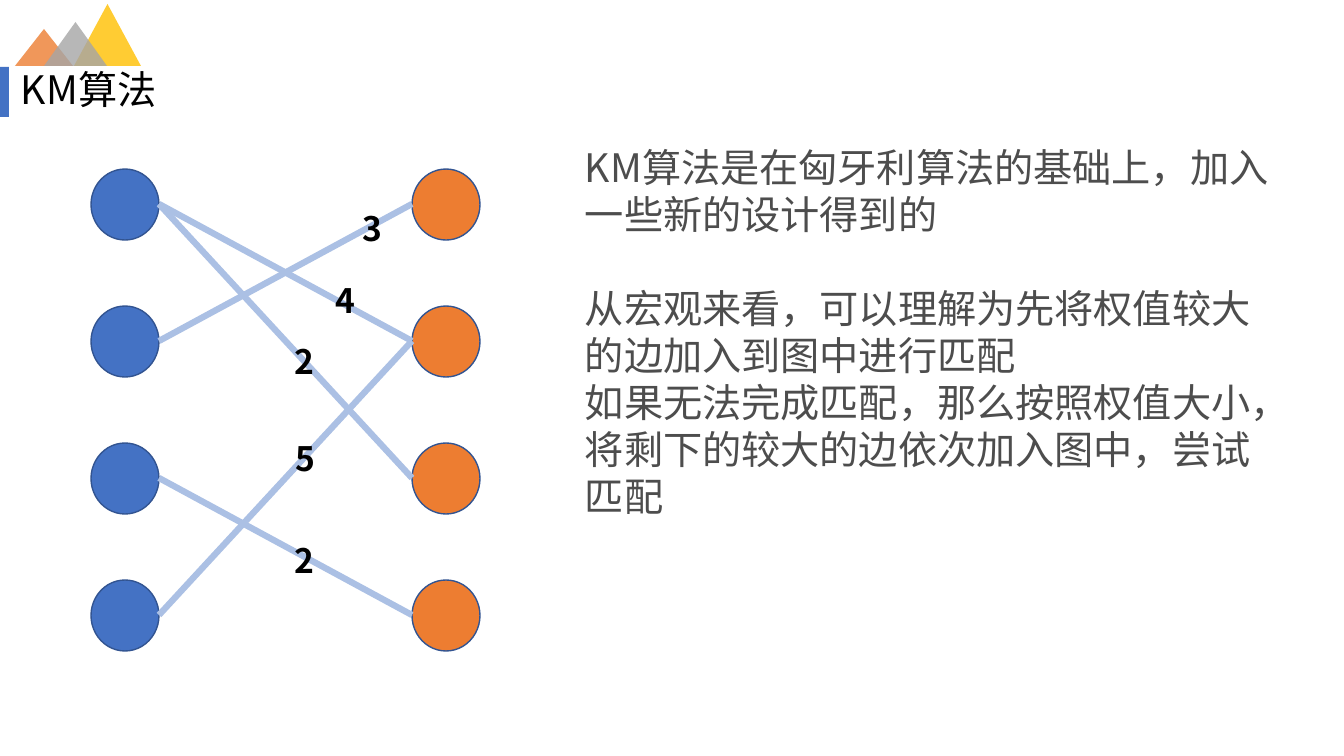
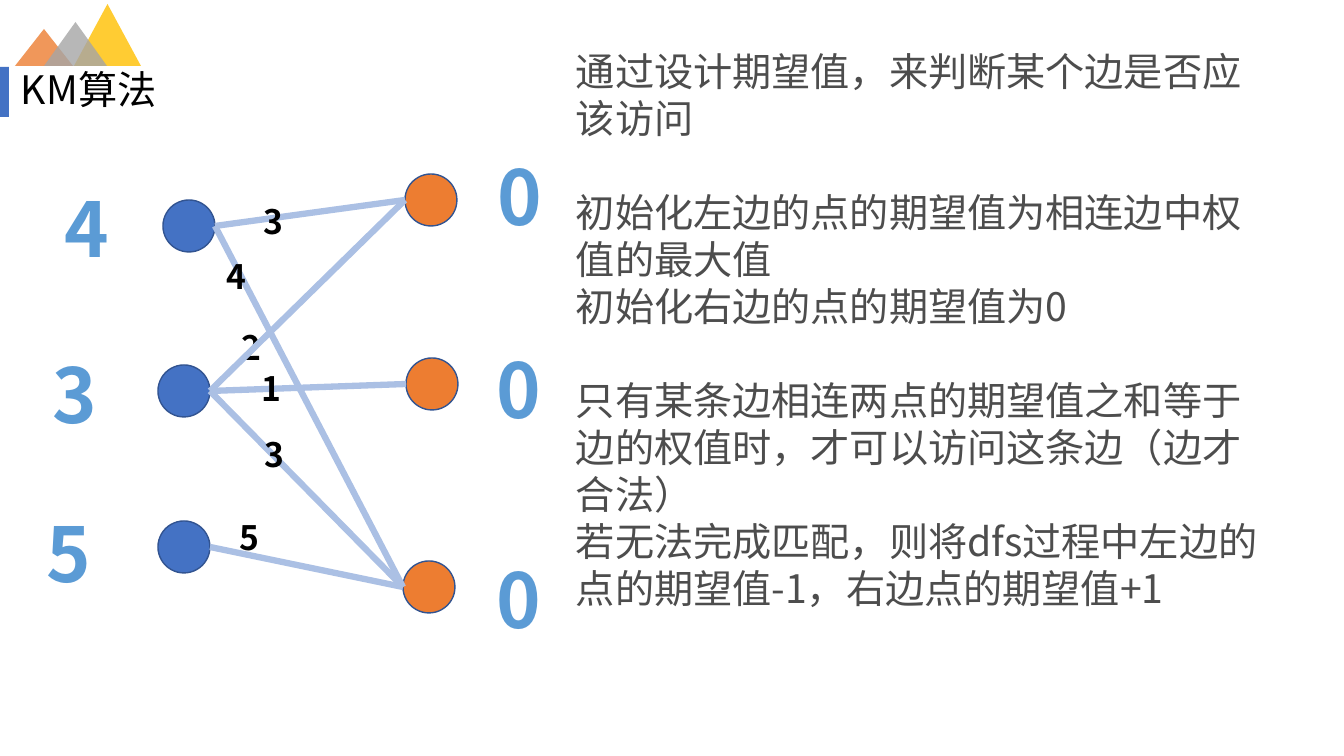
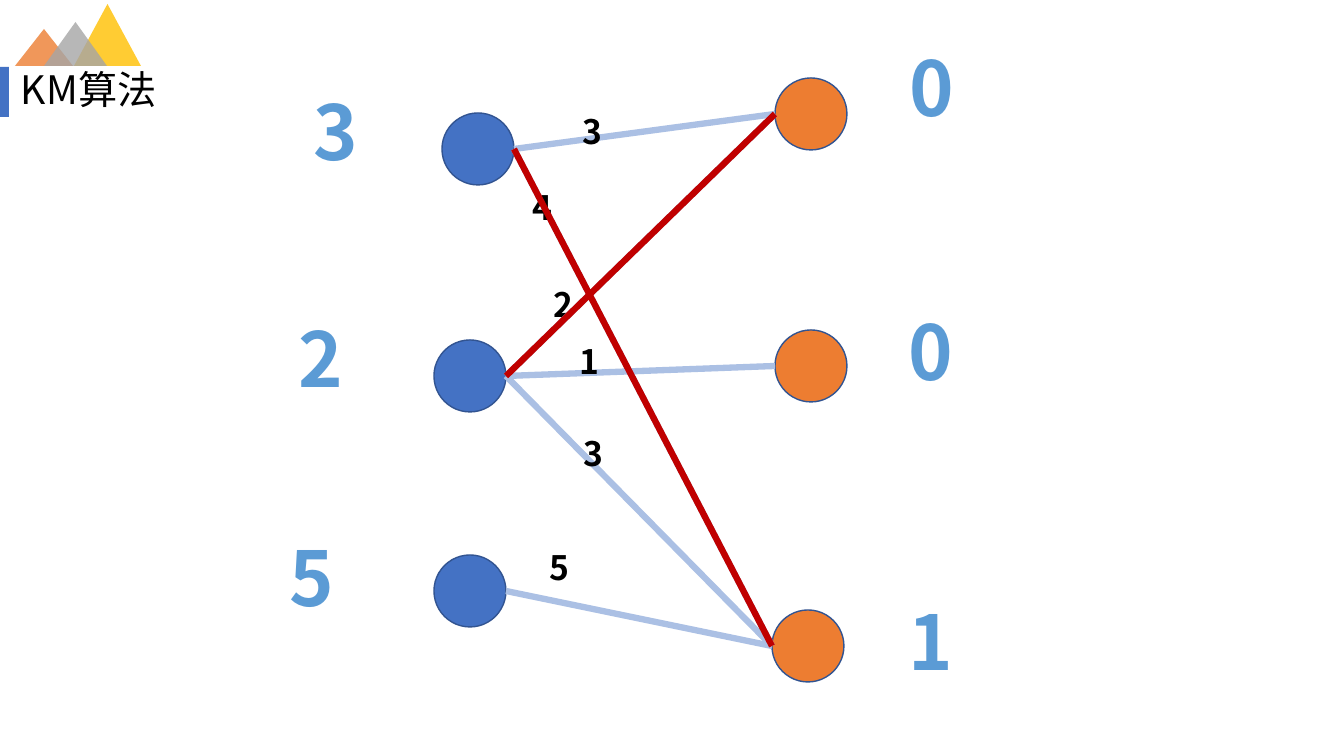
from lxml.etree import SubElement
from pptx import Presentation
from pptx.dml.color import RGBColor
from pptx.enum.shapes import MSO_CONNECTOR, MSO_SHAPE
from pptx.enum.text import MSO_ANCHOR, MSO_AUTO_SIZE, PP_ALIGN
from pptx.oxml.ns import qn
from pptx.util import Emu, Pt

EMU_PER_PX = 914400 / 100.8
FONT = "Noto Sans CJK SC"
LINE_RATIO = 1.2

BLACK = RGBColor(0x00, 0x00, 0x00)
GRAPHITE = RGBColor(0x4D, 0x4D, 0x4D)
BLUE = RGBColor(0x44, 0x72, 0xC4)
DARK_BLUE = RGBColor(0x32, 0x54, 0x91)
SKY_BLUE = RGBColor(0x5B, 0x9B, 0xD5)
PALE_BLUE = RGBColor(0xAB, 0xC0, 0xE4)
ORANGE = RGBColor(0xED, 0x7D, 0x31)
YELLOW = RGBColor(0xFF, 0xC0, 0x00)
GRAY = RGBColor(0xA5, 0xA5, 0xA5)
RED = RGBColor(0xC0, 0x00, 0x00)

TITLE_FORMAT = {"size": Pt(28), "bold": False}
BODY_FORMAT = {"size": Pt(28), "bold": False}
WEIGHT_FORMAT = {"size": Pt(24), "bold": True}
EXPECTATION_FORMAT = {"size": Pt(54), "bold": True}

PEAKS = [
    (YELLOW, (74, 4, 67, 62)),
    (ORANGE, (15, 29, 58, 37)),
    (GRAY, (44, 22, 63, 44)),
]
TITLE_BAR = (0, 67, 9, 50)
TITLE_BOX = (11, 57, 549, 57)


def px(length):
    return Emu(round(length * EMU_PER_PX))


def set_all(target, values):
    for name, value in values.items():
        setattr(target, name, value)


def write_text(shape, paragraphs, font_format, color, align=PP_ALIGN.LEFT, side_inset=10):
    points = font_format["size"].pt
    frame = shape.text_frame
    set_all(frame, {
        "word_wrap": True,
        "auto_size": MSO_AUTO_SIZE.NONE,
        "vertical_anchor": MSO_ANCHOR.TOP,
        "margin_left": px(side_inset),
        "margin_right": px(side_inset),
        "margin_top": px(5 + round(points / 10)),
        "margin_bottom": 0,
    })
    line_height = Pt(points * LINE_RATIO)
    for index, (text, gap_lines) in enumerate(paragraphs):
        paragraph = frame.add_paragraph() if index else frame.paragraphs[0]
        set_all(paragraph, {
            "alignment": align,
            "line_spacing": line_height,
            "space_before": Emu(line_height * gap_lines),
            "space_after": Pt(0),
        })
        run = paragraph.add_run()
        run.text = text
        set_all(run.font, {"name": FONT, **font_format})
        run.font.color.rgb = color
        SubElement(run.font._element, qn("a:ea"), typeface=FONT)


def add_filled_shape(slide, kind, box, color, outline=None, opacity=100):
    shape = slide.shapes.add_shape(kind, *map(px, box))
    shape.shadow.inherit = False
    shape.fill.solid()
    shape.fill.fore_color.rgb = color
    if opacity < 100:
        color_element = shape.element.spPr.find(qn("a:solidFill"))[0]
        SubElement(color_element, qn("a:alpha"), val=str(opacity * 1000))
    if outline is None:
        shape.line.fill.background()
    else:
        shape.line.color.rgb = outline
        shape.line.width = Pt(1)
    return shape


def add_edge(slide, start, end, color):
    connector = slide.shapes.add_connector(
        MSO_CONNECTOR.STRAIGHT, *map(px, (*start, *end)))
    connector.line.color.rgb = color
    connector.line.width = Pt(4.5)
    SubElement(connector.element.spPr, qn("a:effectLst"))


def add_number(slide, number, center_x, top, font_format, color):
    width = 68
    height = round(font_format["size"].pt * 2)
    box = (center_x - width // 2, top, width, height)
    shape = slide.shapes.add_textbox(*map(px, box))
    write_text(shape, [(str(number), 0)], font_format, color, PP_ALIGN.CENTER, 0)


def add_body(slide, left, top, height, paragraphs):
    shape = slide.shapes.add_textbox(*map(px, (left, top, 704, height)))
    write_text(shape, paragraphs, BODY_FORMAT, GRAPHITE)


def add_graph(slide, node_size, left_nodes, right_nodes, edges,
              covered_weights=(), expectations=(), matched=()):
    node_width, node_height = node_size

    def add_weights(weights):
        for number, center_x, top in weights:
            add_number(slide, number, center_x, top, WEIGHT_FORMAT, BLACK)

    def connect(source, target, color):
        left, left_top = left_nodes[source]
        right, right_top = right_nodes[target]
        add_edge(slide, (left + node_width, left_top + node_height // 2),
                 (right, right_top + node_height // 2), color)

    add_weights(covered_weights)
    for nodes, color in ((left_nodes, BLUE), (right_nodes, ORANGE)):
        for position in nodes:
            add_filled_shape(slide, MSO_SHAPE.OVAL, (*position, *node_size), color, DARK_BLUE)
    for source, target in edges:
        connect(source, target, PALE_BLUE)
    add_weights(weight for weight in edges.values() if weight)
    for number, center_x, top in expectations:
        add_number(slide, number, center_x, top, EXPECTATION_FORMAT, SKY_BLUE)
    for source, target in matched:
        connect(source, target, RED)


def decorate_layout(layout, slide):
    shapes = [add_filled_shape(slide, MSO_SHAPE.ISOSCELES_TRIANGLE, box, color, opacity=80)
              for color, box in PEAKS]
    shapes.append(add_filled_shape(slide, MSO_SHAPE.RECTANGLE, TITLE_BAR, BLUE))
    for shape in shapes:
        layout.element.cSld.spTree.append(shape.element)


def add_titled_slide(presentation, layout):
    slide = presentation.slides.add_slide(layout)
    title = slide.shapes.title
    set_all(title, dict(zip(("left", "top", "width", "height"), map(px, TITLE_BOX))))
    write_text(title, [("KM算法", 0)], TITLE_FORMAT, BLACK)
    return slide


def build_overview(slide):
    tops = [169 + 137 * row for row in range(4)]
    edges = {
        (0, 1): (4, 345, 273),
        (0, 2): (2, 304, 334),
        (1, 0): (3, 372, 201),
        (3, 1): (5, 305, 431),
        (2, 3): (2, 304, 533),
    }
    add_graph(slide, (68, 71), [(91, top) for top in tops], [(412, top) for top in tops], edges)
    add_body(slide, 575, 135, 390, [
        ("KM算法是在匈牙利算法的基础上，加入一些新的设计得到的", 0),
        ("从宏观来看，可以理解为先将权值较大的边加入到图中进行匹配", 1),
        ("如果无法完成匹配，那么按照权值大小，将剩下的较大的边依次加入图中，尝试匹配", 0),
    ])


def build_expectations(slide):
    add_body(slide, 566, 39, 581, [
        ("通过设计期望值，来判断某个边是否应该访问", 0),
        ("初始化左边的点的期望值为相连边中权值的最大值", 1),
        ("初始化右边的点的期望值为0", 0),
        ("只有某条边相连两点的期望值之和等于边的权值时，才可以访问这条边（边才合法）", 1),
        ("若无法完成匹配，则将dfs过程中左边的点的期望值-1，右边点的期望值+1", 0),
    ])
    edges = {
        (0, 0): (3, 273, 194),
        (0, 2): (4, 236, 249),
        (1, 1): (1, 271, 361),
        (2, 2): (5, 249, 510),
        (1, 0): None,
        (1, 2): (3, 274, 427),
    }
    add_graph(
        slide, (52, 52),
        [(163, 200), (158, 365), (158, 521)],
        [(405, 174), (406, 358), (403, 561)],
        edges,
        covered_weights=[(2, 251, 320)],
        expectations=[(4, 87, 172), (3, 75, 338), (5, 69, 497),
                      (0, 520, 140), (0, 519, 333), (0, 519, 543)],
    )


def build_matching(slide):
    edges = {
        (0, 0): (3, 592, 104),
        (0, 2): (4, 542, 180),
        (1, 1): (1, 589, 334),
        (2, 2): (5, 559, 540),
        (1, 0): None,
        (1, 2): (3, 593, 426),
    }
    add_graph(
        slide, (72, 72),
        [(442, 113), (434, 340), (434, 555)],
        [(775, 78), (775, 330), (772, 610)],
        edges,
        covered_weights=[(2, 563, 277)],
        expectations=[(3, 336, 75), (2, 321, 302), (5, 312, 521),
                      (0, 932, 31), (0, 931, 295), (1, 931, 585)],
        matched=[(0, 2), (1, 0)],
    )


def main():
    presentation = Presentation()
    presentation.slide_width = px(1344)
    presentation.slide_height = px(756)
    layout = presentation.slide_layouts[5]
    builders = (build_overview, build_expectations, build_matching)
    slides = [add_titled_slide(presentation, layout) for _ in builders]
    decorate_layout(layout, slides[0])
    for build, slide in zip(builders, slides):
        build(slide)
    presentation.save("out.pptx")


if __name__ == "__main__":
    main()
